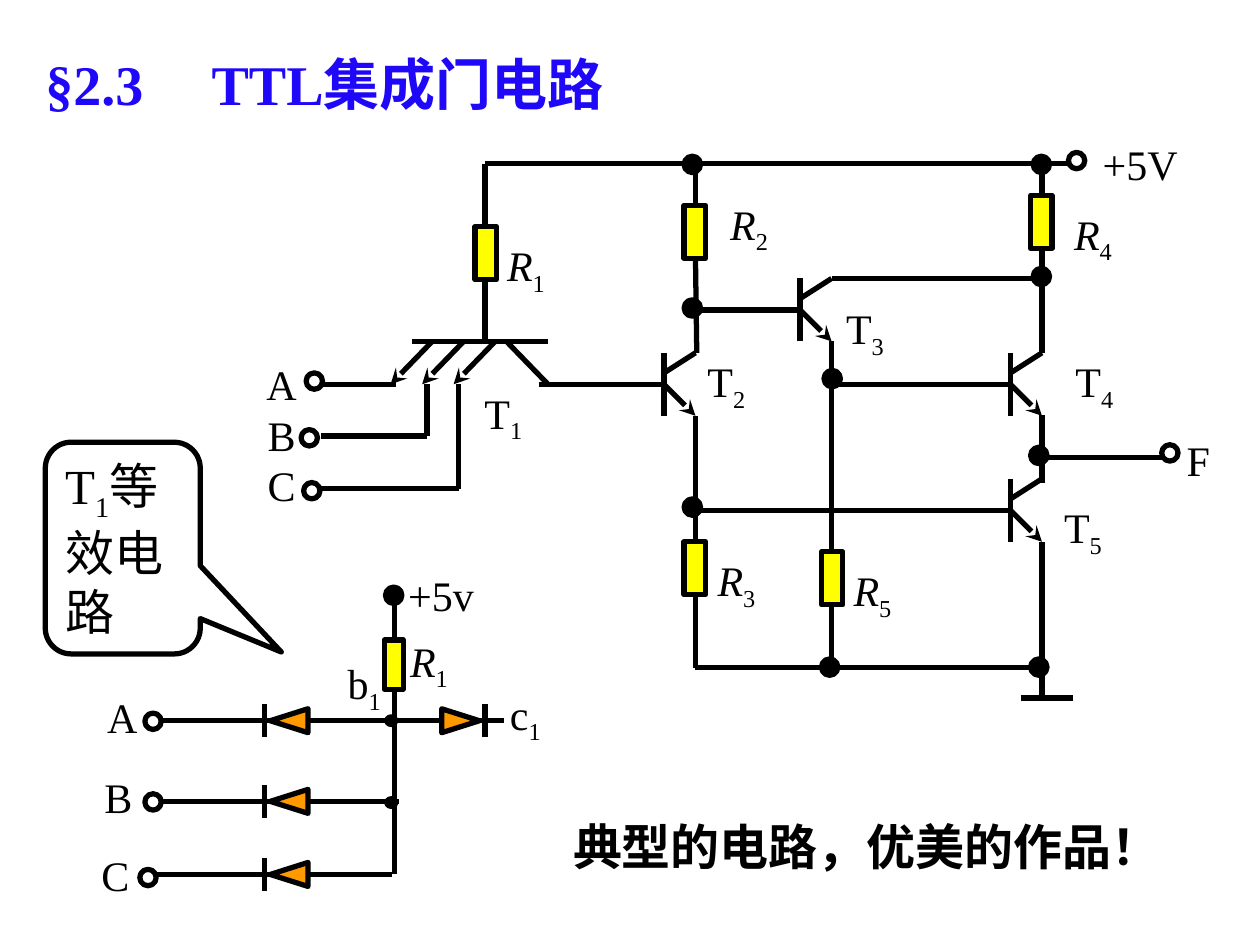
from typing import NamedTuple

from lxml.etree import SubElement
from pptx import Presentation
from pptx.dml.color import RGBColor
from pptx.enum.shapes import MSO_CONNECTOR as Link, MSO_SHAPE as Kind
from pptx.enum.text import MSO_ANCHOR as Anchor, MSO_AUTO_SIZE as Fit, PP_ALIGN as Align
from pptx.oxml.ns import qn
from pptx.util import Inches, Pt

FONT = "Times New Roman"
BLACK, WHITE, YELLOW, ORANGE, BLUE = "000000", "FFFFFF", "FFFF00", "FF9900", "1F08F8"


class Stage(NamedTuple):
    x: float
    y: float


class Part(NamedTuple):
    x: float
    y: float
    wide: float = 0.17
    high: float = 0.42


class Diode(NamedTuple):
    x: float
    y: float
    bar: float
    turn: int


class Label(NamedTuple):
    x: float
    y: float
    wide: float
    text: str
    sub: str = ""


STAGES = [Stage(5.27, 2.8), Stage(6.35, 2.21), Stage(8.02, 2.8), Stage(8.02, 3.8)]

WIRES = [
    [(3.85, 2.71), (3.85, 1.3), (8.52, 1.3)],
    [(4.28, 3.05), (4.95, 3.05)],
    [(5.53, 2.8), (5.52, 2.05), (5.52, 1.3)],
    [(5.52, 2.46), (6.1, 2.46)],
    [(5.52, 3.3), (5.52, 5.3), (8.27, 5.3)],
    [(6.6, 2.71), (6.6, 5.3)],
    [(5.52, 4.05), (7.77, 4.05)],
    [(6.6, 3.05), (7.77, 3.05)],
    [(8.27, 1.3), (8.27, 2.8)],
    [(6.6, 2.21), (8.27, 2.21)],
    [(8.27, 3.29), (8.27, 3.83)],
    [(8.27, 4.3), (8.27, 5.55)],
    [(8.1, 5.54), (8.52, 5.54)],
    [(8.27, 3.63), (9.27, 3.63)],
    [(2.55, 3.05), (3.14, 3.05)],
    [(2.55, 3.46), (3.39, 3.46), (3.39, 3.05)],
    [(2.55, 3.88), (3.64, 3.88), (3.64, 3.05)],
    [(1.22, 6.94), (3.11, 6.94)],
    [(1.27, 6.36), (3.17, 6.36)],
    [(1.19, 5.72), (4, 5.72)],
    [(3.13, 4.8), (3.13, 6.94)],
]

PARTS = [
    Part(3.77, 1.8), Part(5.43, 1.63), Part(5.43, 4.3), Part(8.18, 1.55),
    Part(6.52, 4.38), Part(3.05, 5.08, 0.15, 0.39),
]

DIODES = [
    Diode(2.2, 5.57, 2.1, 270), Diode(2.2, 6.21, 2.1, 270),
    Diode(2.2, 6.79, 2.1, 270), Diode(3.56, 5.57, 3.85, 90),
]

PORTS = [
    (2.43, 2.96), (2.39, 3.41), (2.41, 3.83), (9.22, 3.53), (8.48, 1.21),
    (1.15, 5.66), (1.15, 6.3), (1.11, 6.9),
]

NODES = [
    (5.43, 2.38), (5.43, 3.96), (6.54, 2.94), (8.2, 2.13), (8.18, 3.55),
    (6.52, 5.23), (8.18, 5.23), (5.43, 1.24), (8.2, 1.24), (3.06, 4.66),
]

JOINTS = [(3.07, 5.69), (3.07, 6.34)]

LABELS = [
    Label(8.65, 1.05, 0.8, "+5V"), Label(9.31, 3.4, 0.4, "F"),
    Label(3.73, 3.05, 0.53, "T", "1"), Label(5.5, 2.8, 0.53, "T", "2"),
    Label(6.6, 2.38, 0.53, "T", "3"), Label(8.42, 2.8, 0.53, "T", "4"),
    Label(8.33, 3.96, 0.53, "T", "5"), Label(3.91, 1.88, 0.53, "R", "1"),
    Label(5.68, 1.55, 0.53, "R", "2"), Label(5.58, 4.38, 0.53, "R", "3"),
    Label(8.41, 1.63, 0.53, "R", "4"), Label(6.66, 4.46, 0.53, "R", "5"),
    Label(3.14, 4.47, 0.72, "+5v"), Label(3.14, 5.02, 0.53, "R", "1"),
    Label(3.94, 5.44, 0.46, "c", "1"), Label(2.64, 5.2, 0.5, "b", "1"),
    Label(0.74, 5.44, 0.46, "A"), Label(0.73, 6.07, 0.42, "B"),
    Label(0.69, 6.69, 0.45, "C"),
]


def color(code: str) -> RGBColor:
    return RGBColor.from_string(code)


def style(font, size: int, code: str = BLACK, bold: bool = False) -> None:
    font.name, font.size, font.bold = FONT, Pt(size), bold
    font.color.rgb = color(code)


def draw_line(slide, start, end, arrow: bool = False) -> None:
    line = slide.shapes.add_connector(Link.STRAIGHT, *map(Inches, (*start, *end)))
    line.line.color.rgb = color(BLACK)
    line.line.width = Pt(3)
    if arrow:
        SubElement(line.line._get_or_add_ln(), qn("a:tailEnd"), type="stealth")
    SubElement(line._element.spPr, qn("a:effectLst"))


def draw_shape(slide, kind, box, fill: str = ""):
    shape = slide.shapes.add_shape(kind, *map(Inches, box))
    shape.shadow.inherit = False
    if fill:
        shape.fill.solid()
        shape.fill.fore_color.rgb = color(fill)
    else:
        shape.fill.background()
    shape.line.color.rgb = color(BLACK)
    shape.line.width = Pt(3)
    return shape


def draw_stage(slide, stage: Stage) -> None:
    x, y = stage
    draw_line(slide, (x, y), (x, y + 0.5))
    draw_line(slide, (x, y + 0.25), (x + 0.25, y + 0.5), True)
    draw_line(slide, (x, y + 0.16), (x + 0.25, y))
    draw_line(slide, (x - 0.34, y + 0.25), (x, y + 0.25))


def draw_input(slide) -> None:
    draw_line(slide, (3.27, 2.71), (4.35, 2.71))
    for x in (3.43, 3.68, 3.93):
        draw_line(slide, (x, 2.71), (x - 0.33, 3.05), True)
    draw_line(slide, (4.02, 2.71), (4.35, 3.05))


def draw_diode(slide, diode: Diode) -> None:
    box = (diode.x, diode.y, 0.19, 0.3)
    draw_shape(slide, Kind.ISOSCELES_TRIANGLE, box, ORANGE).rotation = diode.turn
    top = diode.y + 0.02
    draw_line(slide, (diode.bar, top), (diode.bar, top + 0.26))


def lower(run) -> None:
    run._r.get_or_add_rPr().set("baseline", "-25000")


def add_text(slide, box, wrap: bool):
    frame = slide.shapes.add_textbox(*map(Inches, box)).text_frame
    frame.word_wrap = wrap
    return frame


def draw_label(slide, label: Label) -> None:
    frame = add_text(slide, (label.x, label.y, label.wide, 0.5), False)
    frame.vertical_anchor = Anchor.MIDDLE
    para = frame.paragraphs[0]
    para.alignment = Align.CENTER
    para.text = label.text
    style(para.runs[0].font, 24)
    para.runs[0].font.italic = label.text == "R"
    if label.sub:
        run = para.add_run()
        run.text = label.sub
        style(run.font, 24)
        lower(run)


def draw_names(slide) -> None:
    frame = add_text(slide, (2.01, 2.79, 0.45, 1.31), False)
    frame.vertical_anchor = Anchor.MIDDLE
    frame.text = "A\nB\nC"
    for para in frame.paragraphs:
        para.alignment = Align.CENTER
        para.line_spacing = Pt(29)
        style(para.runs[0].font, 24)


def draw_title(slide) -> None:
    title = slide.shapes.title
    title.left, title.top, title.width, title.height = map(Inches, (0.26, 0.34, 5.29, 0.64))
    frame = title.text_frame
    frame.auto_size, frame.vertical_anchor = Fit.NONE, Anchor.MIDDLE
    frame.text = "§2.3\tTTL集成门电路"
    para = frame.paragraphs[0]
    para.alignment = Align.LEFT
    tabs = SubElement(para._p.get_or_add_pPr(), qn("a:tabLst"))
    SubElement(tabs, qn("a:tab"), pos=str(Inches(1.32)), algn="l")
    style(para.runs[0].font, 32, BLUE, True)


def draw_notes(slide) -> None:
    bubble = draw_shape(slide, Kind.ROUNDED_RECTANGULAR_CALLOUT, (0.36, 3.51, 1.23, 1.68), WHITE)
    for i, value in enumerate((1.023, 0.491, 0.167)):
        bubble.adjustments[i] = value
    frame = bubble.text_frame
    frame.word_wrap, frame.vertical_anchor = True, Anchor.TOP
    para = frame.paragraphs[0]
    para.alignment = Align.LEFT
    for text in ("T", "1", "等效电路"):
        run = para.add_run()
        run.text = text
        style(run.font, 28)
    lower(para.runs[1])
    frame = add_text(slide, (4.45, 6.43, 5.3, 0.57), True)
    frame.text = "典型的电路，优美的作品！"
    style(frame.paragraphs[0].runs[0].font, 28, bold=True)


def main() -> None:
    deck = Presentation()
    deck.slide_width, deck.slide_height = Inches(10), Inches(7.5)
    slide = deck.slides.add_slide(deck.slide_layouts[5])
    draw_title(slide)
    for stage in STAGES:
        draw_stage(slide, stage)
    draw_input(slide)
    for wire in WIRES:
        for start, end in zip(wire, wire[1:]):
            draw_line(slide, start, end)
    for part in PARTS:
        draw_shape(slide, Kind.RECTANGLE, part, YELLOW)
    for diode in DIODES:
        draw_diode(slide, diode)
    dots = ((PORTS, 0.13, 0.13, WHITE), (NODES, 0.13, 0.13, BLACK), (JOINTS, 0.07, 0.06, BLACK))
    for spots, wide, high, fill in dots:
        for spot in spots:
            draw_shape(slide, Kind.OVAL, (*spot, wide, high), fill)
    for label in LABELS:
        draw_label(slide, label)
    draw_names(slide)
    draw_notes(slide)
    deck.save("out.pptx")


if __name__ == "__main__":
    main()
